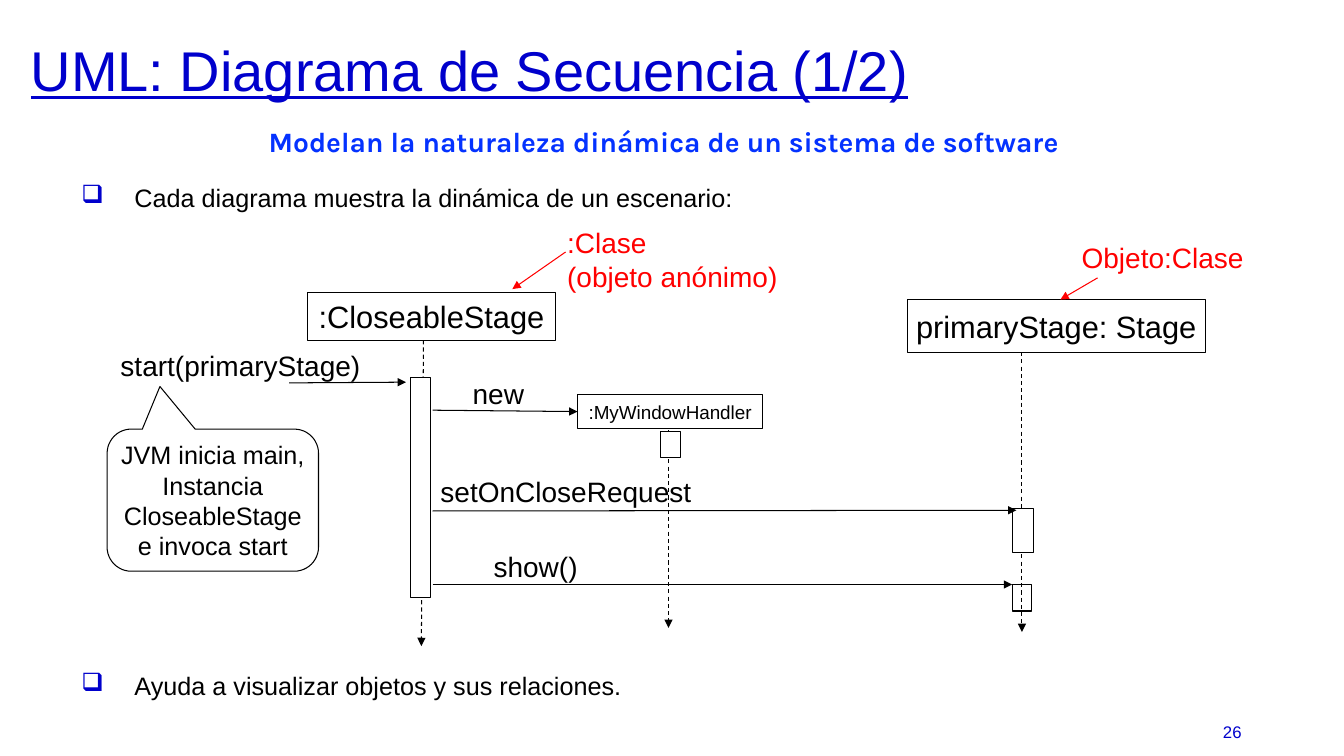
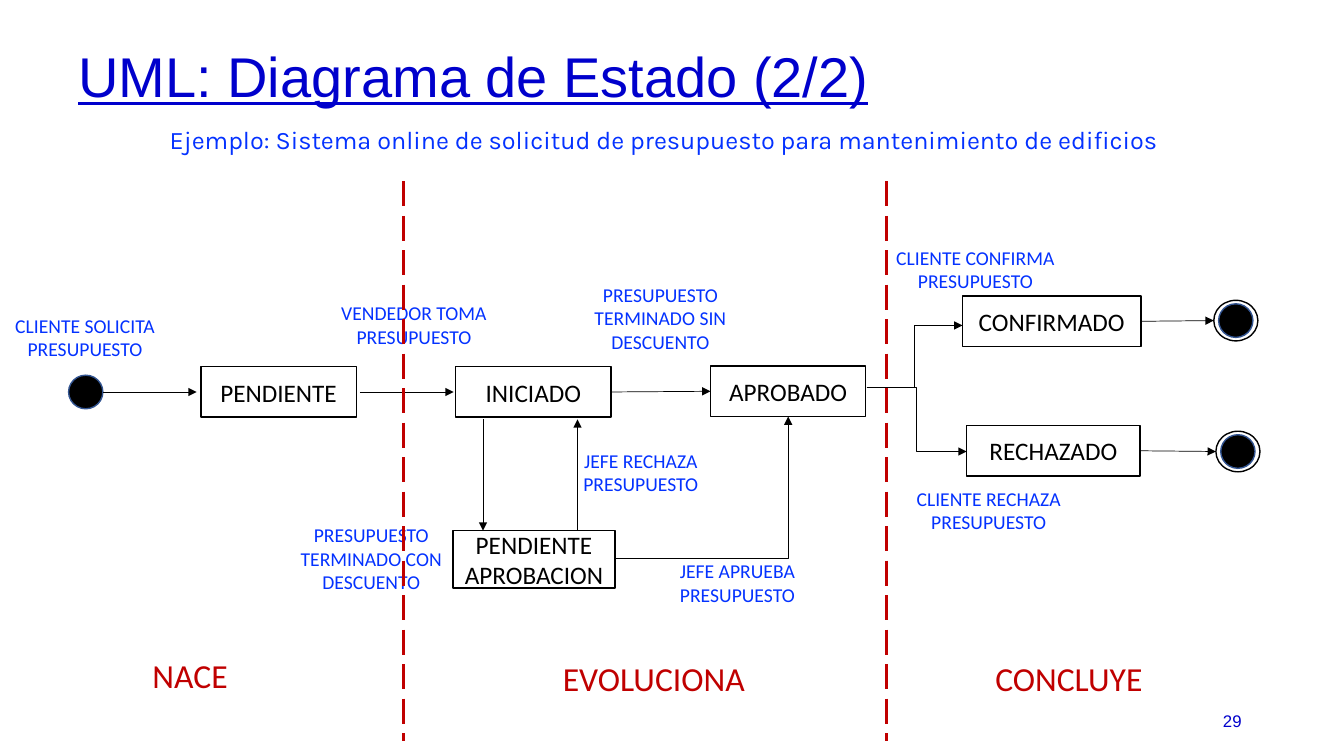
import pptx
import pptx.dml.color
import pptx.enum.dml
import pptx.enum.shapes
import pptx.enum.text
import pptx.oxml
import pptx.oxml.ns
import pptx.util

Pt = pptx.util.Pt
RGBColor = pptx.dml.color.RGBColor
Shape = pptx.enum.shapes.MSO_SHAPE
Connector = pptx.enum.shapes.MSO_CONNECTOR
Dash = pptx.enum.dml.MSO_LINE
Align = pptx.enum.text.PP_ALIGN
Anchor = pptx.enum.text.MSO_ANCHOR
qn = pptx.oxml.ns.qn

NAVY = RGBColor(0x00, 0x00, 0xCC)
BLUE = RGBColor(0x04, 0x32, 0xFF)
RED = RGBColor(0xFF, 0x00, 0x00)
DARK_RED = RGBColor(0xC0, 0x00, 0x00)
DOT_EDGE = RGBColor(0x32, 0x54, 0x91)
BLACK = RGBColor(0x00, 0x00, 0x00)
WHITE = RGBColor(0xFF, 0xFF, 0xFF)


def add_box(page, area, text="", size=18, color=BLACK, font="Arial", align=Align.LEFT,
            anchor=Anchor.TOP, wrap=True, bold=None, underline=None,
            kind=None, fill=None, edge=BLACK, weight=0.75):
    left, top, width, height = [Pt(length) for length in area]
    if kind is None:
        box = page.shapes.add_textbox(left, top, width, height)
    else:
        box = page.shapes.add_shape(kind, left, top, width, height)
        box.shadow.inherit = False
        box.line.color.rgb = edge
        box.line.width = Pt(weight)
        if fill is None:
            box.fill.background()
        else:
            box.fill.solid()
            box.fill.fore_color.rgb = fill
    frame = box.text_frame
    frame.word_wrap = wrap
    frame.vertical_anchor = anchor
    for number, sentence in enumerate(text.split("\n")):
        para = frame.add_paragraph() if number else frame.paragraphs[0]
        para.alignment = align
        for part, words in enumerate(sentence.split("\v")):
            if part:
                para.add_line_break()
            span = para.add_run()
            span.text = words
            span.font.name = font
            span.font.size = Pt(size)
            span.font.bold = bold
            span.font.underline = underline
            span.font.color.rgb = color
    return box


def add_line(page, start, end, color=BLACK, weight=0.75, dash=None, arrow=True,
             kind=Connector.STRAIGHT):
    line = page.shapes.add_connector(kind, *[Pt(length) for length in start + end])
    line.line.color.rgb = color
    line.line.width = Pt(weight)
    if dash is not None:
        line.line.dash_style = dash
    if arrow:
        head = pptx.oxml.parse_xml(
            '<a:tailEnd xmlns:a="http://schemas.openxmlformats.org/drawingml/2006/main" type="triangle"/>')
        line.line._get_or_add_ln().append(head)
    properties = line._element.spPr
    properties.append(properties.makeelement(qn("a:effectLst"), {}))
    return line


deck = pptx.Presentation()
deck.slide_width = Pt(960)
deck.slide_height = Pt(540)

pages = []
for title, title_area, subtitle, subtitle_size, bold, number, number_top in (
    ("UML: Diagrama de Secuencia (1/2)", (15, 18, 930, 68.5),
     "Modelan la naturaleza dinámica de un sistema de software", 20, True, "26", 508.5),
    ("UML: Diagrama de Estado (2/2)", (49, 22.5, 870, 68.5),
     "Ejemplo: Sistema online de solicitud de presupuesto para mantenimiento de edificios",
     18, None, "29", 500.5),
):
    page = deck.slides.add_slide(deck.slide_layouts[6])
    heading = add_box(page, title_area, title, 40, NAVY, anchor=Anchor.MIDDLE, underline=True)
    heading.text_frame.paragraphs[0].line_spacing = 0.9
    add_box(page, (78.5, 85.5, 791.5, 31), subtitle, subtitle_size, BLUE, "Karla",
            Align.CENTER, bold=bold)
    add_box(page, (678, number_top, 216, 29), number, 12, NAVY, align=Align.RIGHT,
            anchor=Anchor.MIDDLE)
    pages.append(page)
sequence, states = pages

body = add_box(sequence, (51, 126.5, 870, 394.5),
               "Cada diagrama muestra la dinámica de un escenario:\n"
               "Ayuda a visualizar objetos y sus relaciones.")
for para in body.text_frame.paragraphs:
    settings = para._p.get_or_add_pPr()
    settings.set("marL", str(Pt(38)))
    settings.set("indent", str(-Pt(38)))
    bullet_color = settings.makeelement(qn("a:buClr"), {})
    bullet_color.append(bullet_color.makeelement(qn("a:srgbClr"), {"val": str(NAVY)}))
    settings.append(bullet_color)
    settings.append(settings.makeelement(qn("a:buChar"), {"char": "❑"}))
    para.space_after = Pt(4)
body.text_frame.paragraphs[1].space_before = Pt(323)

participants = {}
for name, area, size in (
    (":CloseableStage", (219.5, 209, 177.5, 34), 22),
    ("primaryStage: Stage", (648, 214, 213, 37.5), 22),
    (":MyWindowHandler", (412.5, 282, 132.5, 24), 13.5),
):
    participants[name] = add_box(sequence, area, name, size, align=Align.CENTER,
                                 anchor=Anchor.MIDDLE, wrap=False, kind=Shape.RECTANGLE)

add_box(sequence, (723, 417.5, 14, 19), kind=Shape.RECTANGLE, fill=WHITE)
for start, end in (
    ((302.5, 243), (301, 461.5)),
    ((730, 251.5), (730, 451.5)),
    ((477.5, 307.5), (477.5, 448.5)),
):
    add_line(sequence, start, end, dash=Dash.DASH)
for activation in ((293, 269.5, 14.5, 157), (471.5, 308, 14.5, 19), (723, 363.5, 15.5, 31.5)):
    add_box(sequence, activation, kind=Shape.RECTANGLE, fill=WHITE)

for message, area, start, end in (
    ("start(primaryStage)", (79, 245.5, 194, 29), (206.5, 273.5), (290, 273)),
    ("new", (330.5, 265.5, 51, 31.5), (309, 293), (412.5, 294)),
    ("setOnCloseRequest", (307.5, 335.5, 195, 31.5), (309, 365), (726, 364.5)),
    ("show()", (345.5, 389, 75, 31.5), (309, 417.5), (723, 417.5)),
):
    add_box(sequence, area, message, 20, wrap=False)
    call = add_line(sequence, start, end)
    if message == "new":
        call.end_connect(participants[":MyWindowHandler"], 1)

callout = add_box(sequence, (76.5, 306.5, 151, 101.5),
                  "JVM inicia main, Instancia CloseableStage\ve invoca start",
                  align=Align.CENTER, anchor=Anchor.MIDDLE,
                  kind=Shape.ROUNDED_RECTANGULAR_CALLOUT)
for index, value in enumerate((-0.25, -0.8, 0.17)):
    callout.adjustments[index] = value
frame = callout.text_frame
frame.margin_left = frame.margin_right = frame.margin_top = frame.margin_bottom = Pt(3)

for note, area, start, end in (
    (":Clase\v(objeto anónimo)", (398, 157.5, 175, 54.5), (404, 180), (366, 206.5)),
    ("Objeto:Clase", (765.5, 168.5, 140.5, 34.5), (784, 198.5), (757.5, 214)),
):
    add_box(sequence, area, note, 20, RED)
    add_line(sequence, start, end, RED)

state_boxes = {}
for name, area in (
    ("PENDIENTE", (143.5, 262, 111, 36)),
    ("INICIADO", (325.5, 262, 111, 36)),
    ("APROBADO", (507.5, 261.5, 111, 36)),
    ("CONFIRMADO", (687.5, 211.5, 127.5, 36)),
    ("RECHAZADO", (690.5, 304, 124, 36)),
    ("PENDIENTE\nAPROBACION", (323.5, 379, 116, 41)),
):
    state_boxes[name] = add_box(states, area, name, 18, BLACK, "Calibri", Align.CENTER,
                                Anchor.MIDDLE, kind=Shape.RECTANGLE, weight=1)

final_rings = ((867, 214.5), (868.5, 308))
for left, top in ((49, 268),) + tuple((left + 3.5, top + 2.5) for left, top in final_rings):
    add_box(states, (left, top, 24.5, 24), kind=Shape.OVAL, fill=BLACK, edge=DOT_EDGE, weight=1)
for left, top in final_rings:
    add_box(states, (left, top, 31.5, 29), kind=Shape.OVAL, weight=1)

for start, end, source, target in (
    ((73.5, 280), (140.5, 280), None, None),
    ((257, 280), (324, 280), None, None),
    ((436.5, 280), (507.5, 279.5), "INICIADO", "APROBADO"),
    ((815, 229.5), (867, 229), "CONFIRMADO", None),
    ((814.5, 322), (868.5, 322.5), "RECHAZADO", None),
    ((345, 299.5), (345, 379), None, None),
    ((412.5, 379), (412.5, 299.5), None, None),
):
    transition = add_line(states, start, end, weight=0.5)
    if source:
        transition.begin_connect(state_boxes[source], 3)
    if target:
        transition.end_connect(state_boxes[target], 1)

for end in ((690.5, 322.5), (687.5, 232.5)):
    add_line(states, (619, 277), end, weight=0.5, kind=Connector.ELBOW)
approval = add_line(states, (439.5, 399), (563, 297.5), weight=0.5, kind=Connector.ELBOW)
approval._element.spPr.find(qn("a:prstGeom")).set("prst", "bentConnector2")

for label, left, top in (
    ("CLIENTE SOLICITA\nPRESUPUESTO", -3, 220.5),
    ("VENDEDOR TOMA\nPRESUPUESTO", 232, 211.5),
    ("PRESUPUESTO\nTERMINADO SIN\nDESCUENTO", 408, 198.5),
    ("PRESUPUESTO\nTERMINADO CON\nDESCUENTO", 201.5, 370),
    ("JEFE RECHAZA\nPRESUPUESTO", 394, 317),
    ("JEFE APRUEBA\nPRESUPUESTO", 463, 396),
    ("CLIENTE RECHAZA\nPRESUPUESTO", 642.5, 344),
    ("CLIENTE CONFIRMA\nPRESUPUESTO", 633, 172),
):
    height = 24 + 17 * label.count("\n")
    add_box(states, (left, top, 127.5, height), label, 14, BLUE, "Calibri", Align.CENTER)

for x in (288, 633.5):
    add_line(states, (x, 129.5), (x, 529), DARK_RED, 2.25, Dash.LONG_DASH, arrow=False)
for phase, left, top, width in (
    ("NACE", 72, 464.5, 127.5),
    ("EVOLUCIONA", 394, 466.5, 146),
    ("CONCLUYE", 690.5, 466.5, 146),
):
    add_box(states, (left, top, width, 36), phase, 24, DARK_RED, "Calibri", Align.CENTER)

deck.save("out.pptx")
